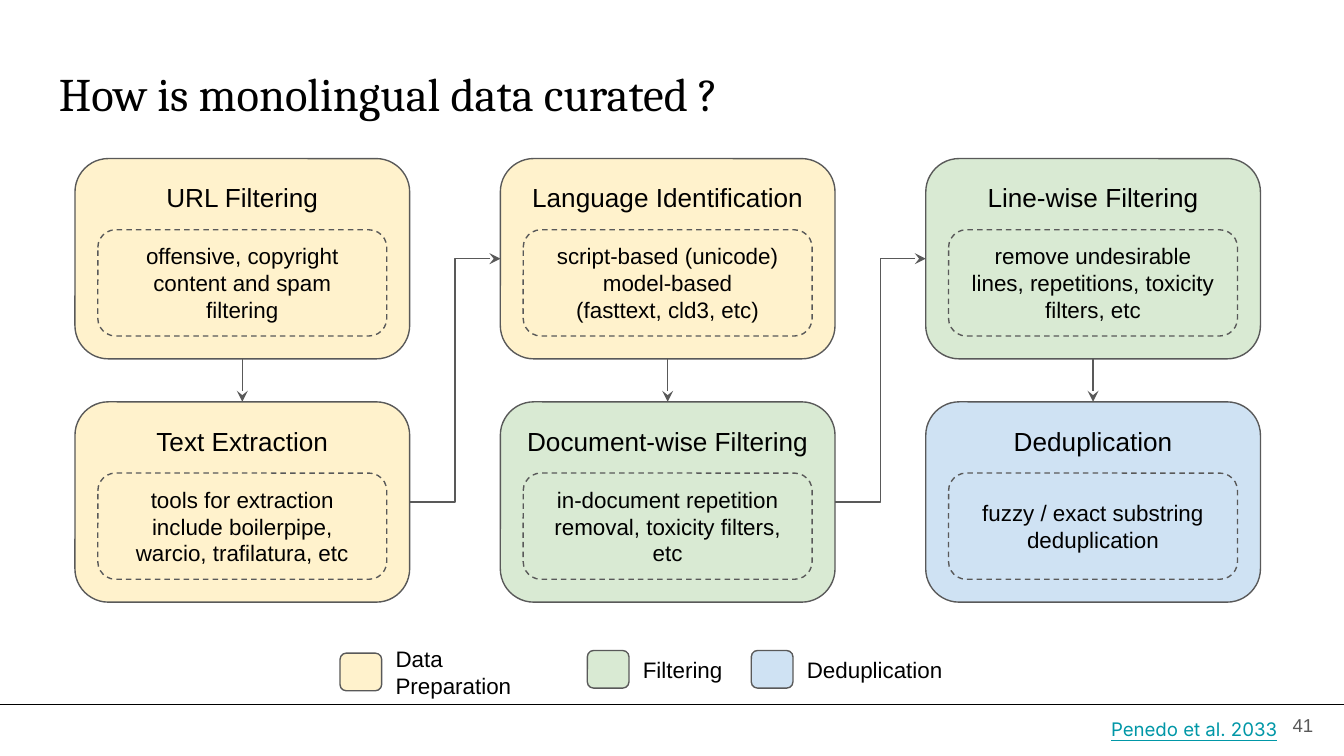
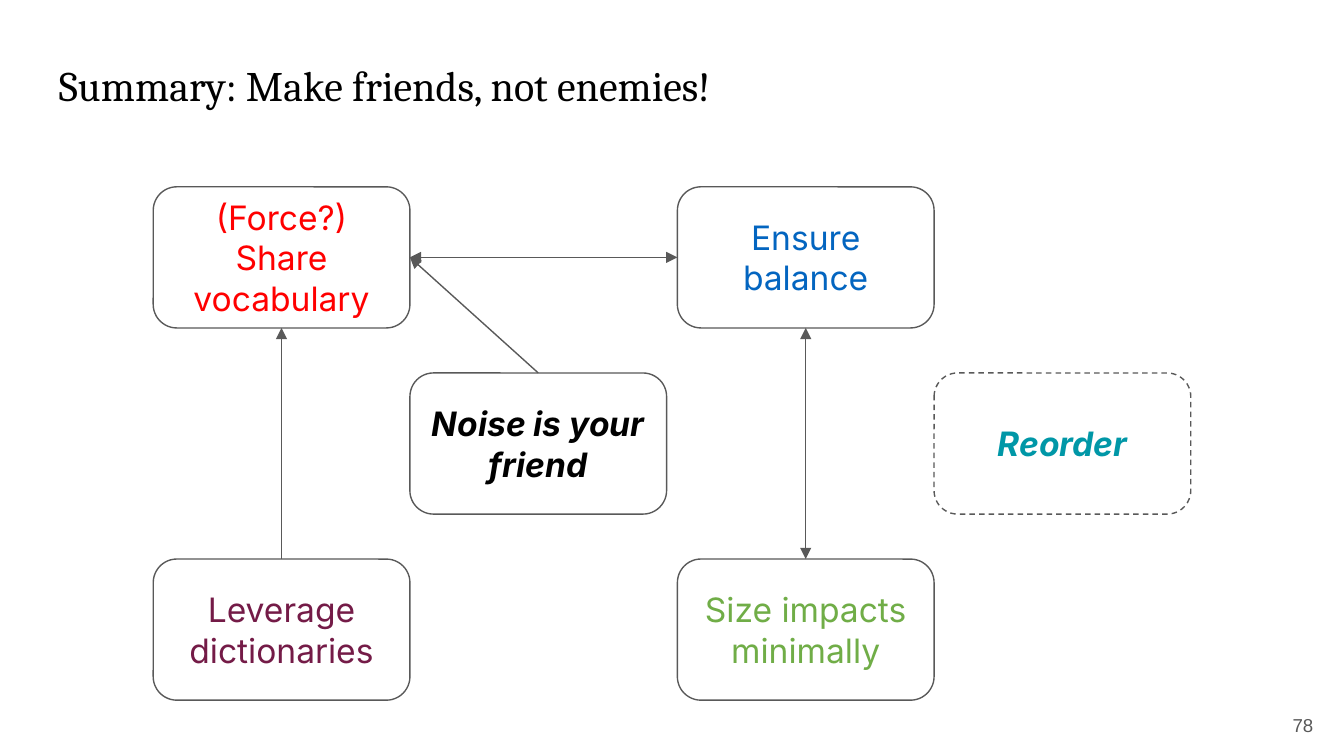
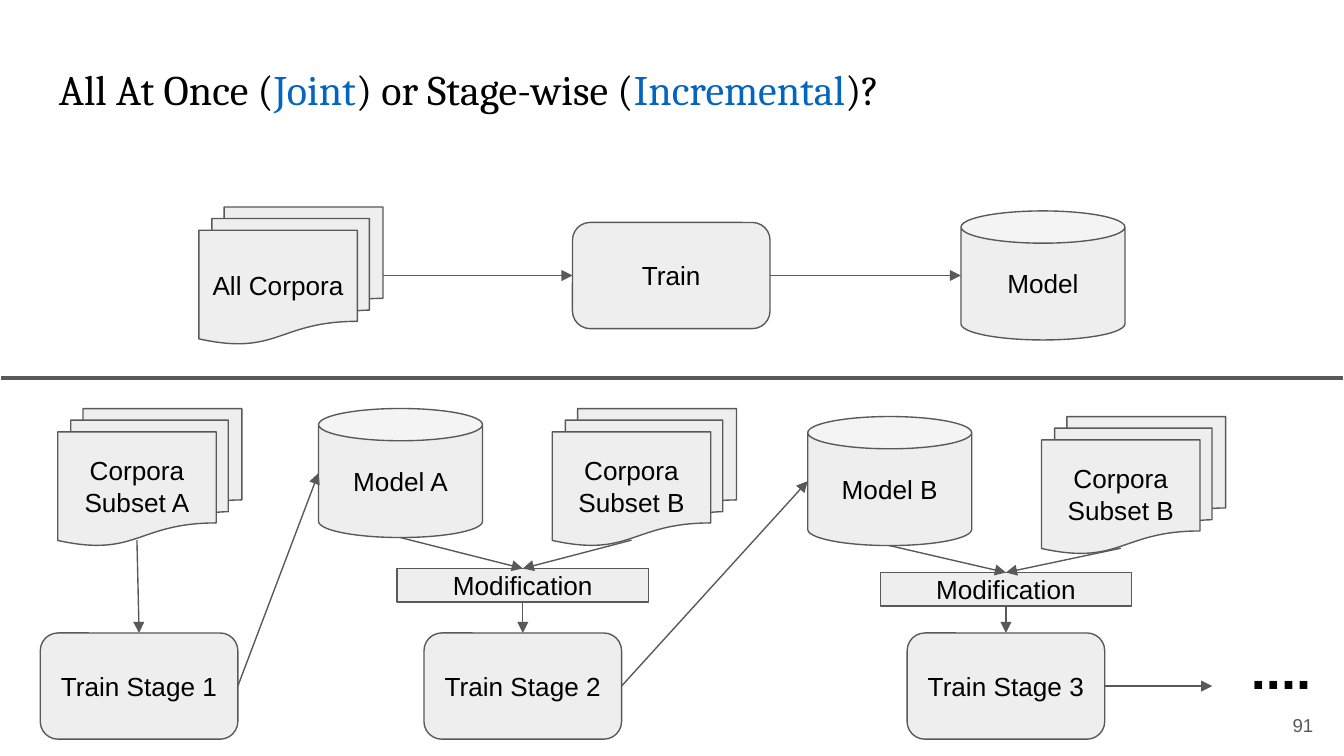
from dataclasses import dataclass, replace

from lxml.etree import SubElement
from pptx import Presentation
from pptx.dml.color import RGBColor
from pptx.enum.dml import MSO_LINE
from pptx.enum.shapes import MSO_CONNECTOR, MSO_SHAPE
from pptx.enum.text import MSO_ANCHOR, PP_ALIGN
from pptx.oxml.ns import qn
from pptx.util import Inches, Pt

TOP, LEFT, BOTTOM, RIGHT = range(4)
ROUNDED, RECTANGLE = MSO_SHAPE.ROUNDED_RECTANGLE, MSO_SHAPE.RECTANGLE
CAN, DOCUMENTS = MSO_SHAPE.CAN, MSO_SHAPE.FLOWCHART_MULTIDOCUMENT


@dataclass(frozen=True)
class Type:
    """A type style: font, size, colour and emphasis."""

    font: str
    size: float
    color: str = "000000"
    bold: bool = False
    italic: bool = False
    underline: bool = False


@dataclass(frozen=True)
class Theme:
    """Colours and type sizes shared by the slides."""

    white: str = "FFFFFF"
    black: str = "000000"
    outline: str = "595959"
    gray: str = "EEEEEE"
    yellow: str = "FFF2CC"
    green: str = "D9EAD3"
    pale_blue: str = "CFE2F3"
    blue: str = "0365C0"
    red: str = "FF0000"
    plum: str = "741B47"
    leaf: str = "70AD47"
    thin: float = 0.75
    thick: float = 2.25
    large_title: Type = Type("Cambria", 25)
    title: Type = Type("Cambria", 22.5)
    heading: Type = Type("Arial", 14)
    detail: Type = Type("Arial", 12)
    idea: Type = Type("Inter", 18)
    citation: Type = Type("Inter", 10, "0097A7", underline=True)
    number: Type = Type("Arial", 10, "595959")
    dots: Type = Type("Arial", 29, bold=True)


class Canvas:
    """Draws on the current slide, on a grid of 100 columns with square cells."""

    sides = {TOP: (0.5, 0), LEFT: (0, 0.5), BOTTOM: (0.5, 1), RIGHT: (1, 0.5)}

    def __init__(self, theme):
        """Start a deck in the given theme."""
        self.theme = theme
        self.deck = Presentation()
        self.deck.slide_width, self.deck.slide_height = Inches(10), Inches(5.625)
        self.cell = self.deck.slide_width // 100
        self.page = None

    def grid(self, *cells):
        """Turn columns and rows into slide units."""
        return [round(cell * self.cell) for cell in cells]

    def new_page(self, title, number, top, style=None):
        """Add a blank slide with its title and page number."""
        self.page = self.deck.slides.add_slide(self.deck.slide_layouts[6])
        self.text((3.4, top, 93.2, 6.3), title, style or self.theme.title, anchor=MSO_ANCHOR.TOP)
        self.text((92.7, 51.8, 6, 4.3), str(number), self.theme.number, PP_ALIGN.RIGHT)

    def fill_text(self, box, content, style, align, anchor):
        """Fill a box with one paragraph of styled runs."""
        frame = box.text_frame
        frame.word_wrap = True
        frame.vertical_anchor = anchor
        frame.margin_left = frame.margin_right = Inches(0.1)
        frame.margin_top = frame.margin_bottom = Inches(0.1)
        para = frame.paragraphs[0]
        para.alignment = align
        spans = [(content, style)] if isinstance(content, str) else content
        for words, look in spans:
            for index, line in enumerate(words.split("\n")):
                if index:
                    para.add_line_break()
                span = para.add_run()
                span.text = line
                span.font.name, span.font.size = look.font, Pt(look.size)
                span.font.bold, span.font.italic = look.bold, look.italic
                span.font.underline = look.underline
                span.font.color.rgb = RGBColor.from_string(look.color)

    def text(self, area, content, style, align=PP_ALIGN.LEFT, anchor=MSO_ANCHOR.MIDDLE):
        """Add a text box."""
        box = self.page.shapes.add_textbox(*self.grid(*area))
        self.fill_text(box, content, style, align, anchor)

    def stroke(self, line, color=None, width=None, dashed=False):
        """Style an outline or a connector."""
        line.color.rgb = RGBColor.from_string(color or self.theme.outline)
        line.width = Pt(width or self.theme.thin)
        if dashed:
            line.dash_style = MSO_LINE.DASH

    def box(self, kind, area, fill, content="", style=None, dashed=False, anchor=MSO_ANCHOR.MIDDLE):
        """Add a filled and outlined shape with centred text."""
        box = self.page.shapes.add_shape(kind, *self.grid(*area))
        box.shadow.inherit = False
        box.fill.solid()
        box.fill.fore_color.rgb = RGBColor.from_string(fill)
        self.stroke(box.line, dashed=dashed)
        if content:
            self.fill_text(box, content, style or self.theme.heading, PP_ALIGN.CENTER, anchor)
        return box

    def line(self, points, color=None, width=None, head=None, tail=None, kind=MSO_CONNECTOR.STRAIGHT):
        """Add a connector between two points in slide units."""
        line = self.page.shapes.add_connector(kind, *points)
        self.stroke(line.line, color, width)
        outline = line.line._get_or_add_ln()
        for name, arrow in (("a:headEnd", head), ("a:tailEnd", tail)):
            if arrow:
                SubElement(outline, qn(name), type=arrow)
        SubElement(line._element.spPr, qn("a:effectLst"))
        return line

    def port(self, box, side):
        """Return the point where a connector meets a side of a box."""
        across, down = self.sides[side]
        if box.auto_shape_type == DOCUMENTS and side == BOTTOM:
            across, down = 0.43, 0.96
        return round(box.left + across * box.width), round(box.top + down * box.height)

    def link(self, start, start_side, end, end_side, tail="triangle", **options):
        """Add an arrow from one box to another."""
        points = self.port(start, start_side) + self.port(end, end_side)
        line = self.line(points, tail=tail, **options)
        if start.auto_shape_type in (ROUNDED, RECTANGLE):
            line.begin_connect(start, start_side)
        if end.auto_shape_type in (ROUNDED, RECTANGLE):
            line.end_connect(end, end_side)


def curation(canvas):
    """Draw the curation pipeline with its legend."""
    theme = canvas.theme
    canvas.new_page("How is monolingual data curated ?", 41, 3.8, theme.large_title)
    canvas.line(canvas.grid(0, 52.4, 100, 52.4), theme.black)
    canvas.text((24.3, 52.4, 71.7, 3.7), "Penedo et al. 2033", theme.citation, PP_ALIGN.RIGHT)
    legend = [
        (25.3, 48.6, 14.5, theme.yellow, "Data Preparation"),
        (43.7, 48.4, 8.3, theme.green, "Filtering"),
        (55.9, 48.4, 13.3, theme.pale_blue, "Deduplication"),
    ]
    for left, top, width, fill, label in legend:
        canvas.box(ROUNDED, (left, top, 3.1, 2.8), fill)
        canvas.text((left + 3.15, top - 0.5, width, 3.8), label, theme.detail)
    steps = [
        (theme.yellow, "URL Filtering", "offensive, copyright content and spam filtering"),
        (theme.yellow, "Text Extraction",
         "tools for extraction include boilerpipe, warcio, trafilatura, etc"),
        (theme.yellow, "Language Identification",
         "script-based (unicode)\nmodel-based\n(fasttext, cld3, etc)"),
        (theme.green, "Document-wise Filtering",
         "in-document repetition removal, toxicity filters, etc"),
        (theme.green, "Line-wise Filtering",
         "remove undesirable lines, repetitions, toxicity filters, etc"),
        (theme.pale_blue, "Deduplication", "fuzzy / exact substring deduplication"),
    ]
    previous = None
    for index, (fill, heading, detail) in enumerate(steps):
        column, row = divmod(index, 2)
        left, top = 5.58 + 31.65 * column, 11.8 + 18.1 * row
        step = canvas.box(ROUNDED, (left, top, 24.9, 14.9), fill, heading, anchor=MSO_ANCHOR.TOP)
        canvas.box(ROUNDED, (left + 1.7, top + 5.3, 21.5, 7.9), fill, detail, theme.detail, True)
        if row:
            canvas.link(previous, BOTTOM, step, TOP, "stealth")
        elif previous:
            canvas.link(previous, RIGHT, step, LEFT, "stealth", kind=MSO_CONNECTOR.ELBOW)
        previous = step


def summary(canvas):
    """Draw the map of advice."""
    theme = canvas.theme
    canvas.new_page("Summary: Make friends, not enemies!", 78, 3.4)
    strong = replace(theme.idea, bold=True, italic=True)
    lefts = (11.4, 30.5, 50.4, 69.5)

    def idea(column, row, words, color, style=theme.idea, dashed=False):
        """Add one piece of advice."""
        area = (lefts[column], 13.9 + 13.85 * row, 19.1, 10.5)
        return canvas.box(ROUNDED, area, theme.white, words, replace(style, color=color), dashed)

    share = idea(0, 0, "(Force?) Share vocabulary", theme.red)
    balance = idea(2, 0, "Ensure balance", theme.blue)
    dictionaries = idea(0, 2, "Leverage dictionaries", theme.plum)
    size = idea(2, 2, "Size impacts minimally", theme.leaf)
    noise = idea(1, 1, "Noise is your friend", theme.black, strong)
    idea(3, 1, "Reorder", theme.citation.color, strong, True)
    canvas.link(noise, TOP, share, RIGHT)
    canvas.link(share, RIGHT, balance, LEFT, head="triangle")
    canvas.link(dictionaries, TOP, share, BOTTOM)
    canvas.link(balance, BOTTOM, size, TOP, head="triangle")


def training(canvas):
    """Compare joint training with training in stages."""
    theme = canvas.theme
    accent = replace(theme.title, color=theme.blue)
    canvas.new_page([
        ("All At Once (", theme.title), ("Joint", accent), (") or Stage-wise (", theme.title),
        ("Incremental", accent), (")?", theme.title),
    ], 91, 3.7)
    sizes = {DOCUMENTS: (13.7, 10.2), ROUNDED: (14.7, 7.9), CAN: (12.2, 9.6), RECTANGLE: (18.7, 2.5)}

    def part(kind, left, top, words):
        """Add one part of the process."""
        return canvas.box(kind, (left, top, *sizes[kind]), theme.gray, words)

    corpora = part(DOCUMENTS, 14.8, 15.4, "All Corpora")
    train = part(ROUNDED, 42.6, 16.55, "Train")
    model = part(CAN, 71.5, 15.7, "Model")
    canvas.link(corpora, RIGHT, train, LEFT)
    canvas.link(train, RIGHT, model, LEFT)
    canvas.line(canvas.grid(0.1, 28.1, 99.9, 28.1), width=theme.thick)

    stage_top = 47.1
    stage = part(ROUNDED, 3, stage_top, "Train Stage 1")
    canvas.link(part(DOCUMENTS, 4.3, 30.4, "Corpora Subset A"), BOTTOM, stage, TOP)
    rounds = [
        ("Model A", 23.7, 30.4, 42.3, "Train Stage 2", 31.55),
        ("Model B", 60.1, 31, 42.6, "Train Stage 3", 67.5),
    ]
    for name, left, top, change_top, stage_name, stage_left in rounds:
        model = part(CAN, left, top, name)
        corpora = part(DOCUMENTS, left + 17.4, top, "Corpora Subset B")
        change = part(RECTANGLE, stage_left - 2, change_top, "Modification")
        canvas.link(stage, RIGHT, model, LEFT)
        stage = part(ROUNDED, stage_left, stage_top, stage_name)
        canvas.link(model, BOTTOM, change, TOP)
        canvas.link(corpora, BOTTOM, change, TOP)
        canvas.link(change, BOTTOM, stage, TOP)
    onward = canvas.line(canvas.grid(82.2, 51.05, 90.2, 51.05), tail="triangle")
    onward.begin_connect(stage, RIGHT)
    canvas.text((92.1, 46.3, 7, 3.7), "....", theme.dots, anchor=MSO_ANCHOR.TOP)


def main():
    """Build and save the deck."""
    canvas = Canvas(Theme())
    for draw in (curation, summary, training):
        draw(canvas)
    canvas.deck.save("out.pptx")


if __name__ == "__main__":
    main()
